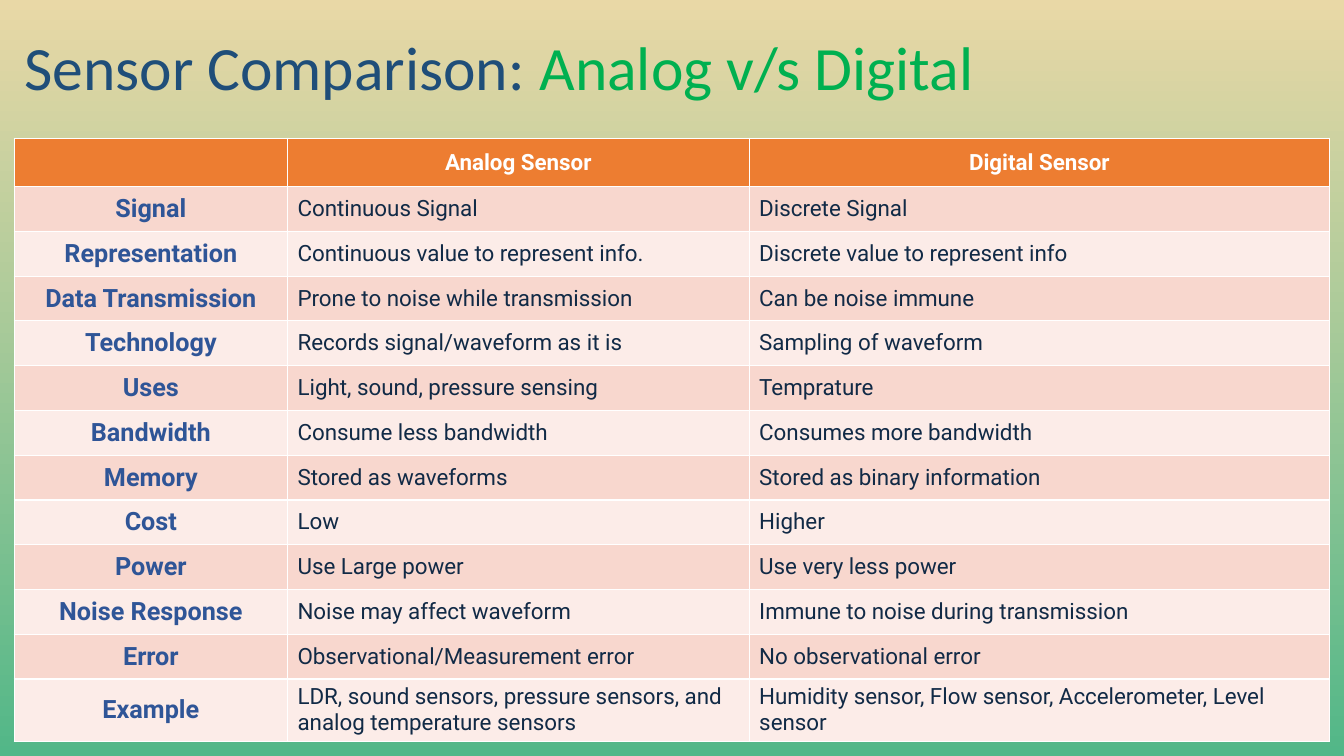
from pptx import Presentation
from pptx.dml.color import RGBColor
from pptx.enum.text import MSO_ANCHOR, MSO_AUTO_SIZE, PP_ALIGN
from pptx.util import Pt

HUES = {
    "sand": "E9D8A6", "green": "52B788", "navy": "1F4E79", "leaf": "00B050",
    "head": "ED7D31", "odd": "F8D7CE", "even": "FCECE8",
    "white": "FFFFFF", "label": "2F5597", "text": "112A46",
}
HEADS = ("", "Analog Sensor", "Digital Sensor")
ROWS = [
    ("Signal", "Continuous Signal", "Discrete Signal"),
    ("Representation", "Continuous value to represent info.",
     "Discrete value to represent info"),
    ("Data Transmission", "Prone to noise while transmission", "Can be noise immune"),
    ("Technology", "Records signal/waveform as it is", "Sampling of waveform"),
    ("Uses", "Light, sound, pressure sensing", "Temprature"),
    ("Bandwidth", "Consume less bandwidth", "Consumes more bandwidth"),
    ("Memory", "Stored as waveforms", "Stored as binary information"),
    ("Cost", "Low", "Higher"),
    ("Power", "Use Large power", "Use very less power"),
    ("Noise Response", "Noise may affect waveform",
     "Immune to noise during transmission"),
    ("Error", "Observational/Measurement error", "No observational error"),
    ("Example",
     "LDR, sound sensors, pressure sensors, and analog temperature sensors",
     "Humidity sensor, Flow sensor, Accelerometer, Level sensor"),
]
SHARES = (0.2077, 0.351, 0.4413)
HEAD_TALL, ROW_TALL, LAST_TALL = 34.5, 32, 44


def hue(name):
    """Return the named colour."""
    return RGBColor.from_string(HUES[name])


def paint_back(slide):
    """Fill the slide with a gradient from top to bottom."""
    fill = slide.background.fill
    fill.gradient()
    fill.gradient_angle = 270
    for stop, place, name in zip(fill.gradient_stops, (0, 1), ("sand", "green")):
        stop.position = place
        stop.color.rgb = hue(name)


def add_title(slide, left, top, wide, tall):
    """Place the two-colour title in its box."""
    title = slide.shapes.title
    title.left, title.top, title.width, title.height = map(Pt, (left, top, wide, tall))
    frame = title.text_frame
    frame.word_wrap = True
    frame.auto_size = MSO_AUTO_SIZE.NONE
    frame.vertical_anchor = MSO_ANCHOR.MIDDLE
    para = frame.paragraphs[0]
    para.alignment = PP_ALIGN.LEFT
    para.line_spacing = 0.9
    para.font.name = "Calibri"
    para.font.size = Pt(44)
    for words, name in (("Sensor Comparison: ", "navy"), ("Analog v/s Digital", "leaf")):
        run = para.add_run()
        run.text = words
        run.font.color.rgb = hue(name)


def fill_cell(cell, words, back, ink, size, bold, align):
    """Write and colour one table cell."""
    cell.fill.solid()
    cell.fill.fore_color.rgb = hue(back)
    cell.vertical_anchor = MSO_ANCHOR.MIDDLE
    cell.text = words
    para = cell.text_frame.paragraphs[0]
    para.alignment = align
    font = para.font
    font.name, font.size, font.bold = "Roboto", Pt(size), bold
    font.color.rgb = hue(ink)


def add_grid(slide, left, top, wide):
    """Place the comparison table in its box."""
    talls = [HEAD_TALL] + [ROW_TALL] * (len(ROWS) - 1) + [LAST_TALL]
    grid = slide.shapes.add_table(
        len(talls), len(HEADS), Pt(left), Pt(top), Pt(wide), Pt(sum(talls))).table
    for col, share in zip(grid.columns, SHARES):
        col.width = Pt(wide * share)
    for row, tall in zip(grid.rows, talls):
        row.height = Pt(tall)
    for i, row in enumerate([HEADS] + ROWS):
        for j, words in enumerate(row):
            if i == 0:
                look = "head", "white", 16, True, PP_ALIGN.CENTER
            else:
                back = "odd" if i % 2 else "even"
                if j == 0:
                    look = back, "label", 18, True, PP_ALIGN.CENTER
                else:
                    look = back, "text", 16, False, PP_ALIGN.LEFT
            fill_cell(grid.cell(i, j), words, *look)


def main():
    """Build and save the deck."""
    deck = Presentation()
    deck.slide_width, deck.slide_height = Pt(960), Pt(540)
    slide = deck.slides.add_slide(deck.slide_layouts[5])
    paint_back(slide)
    add_title(slide, 10.2, 10.8, 939.6, 79.2)
    add_grid(slide, 10.2, 98.8, 939.6)
    deck.save("out.pptx")


if __name__ == "__main__":
    main()
